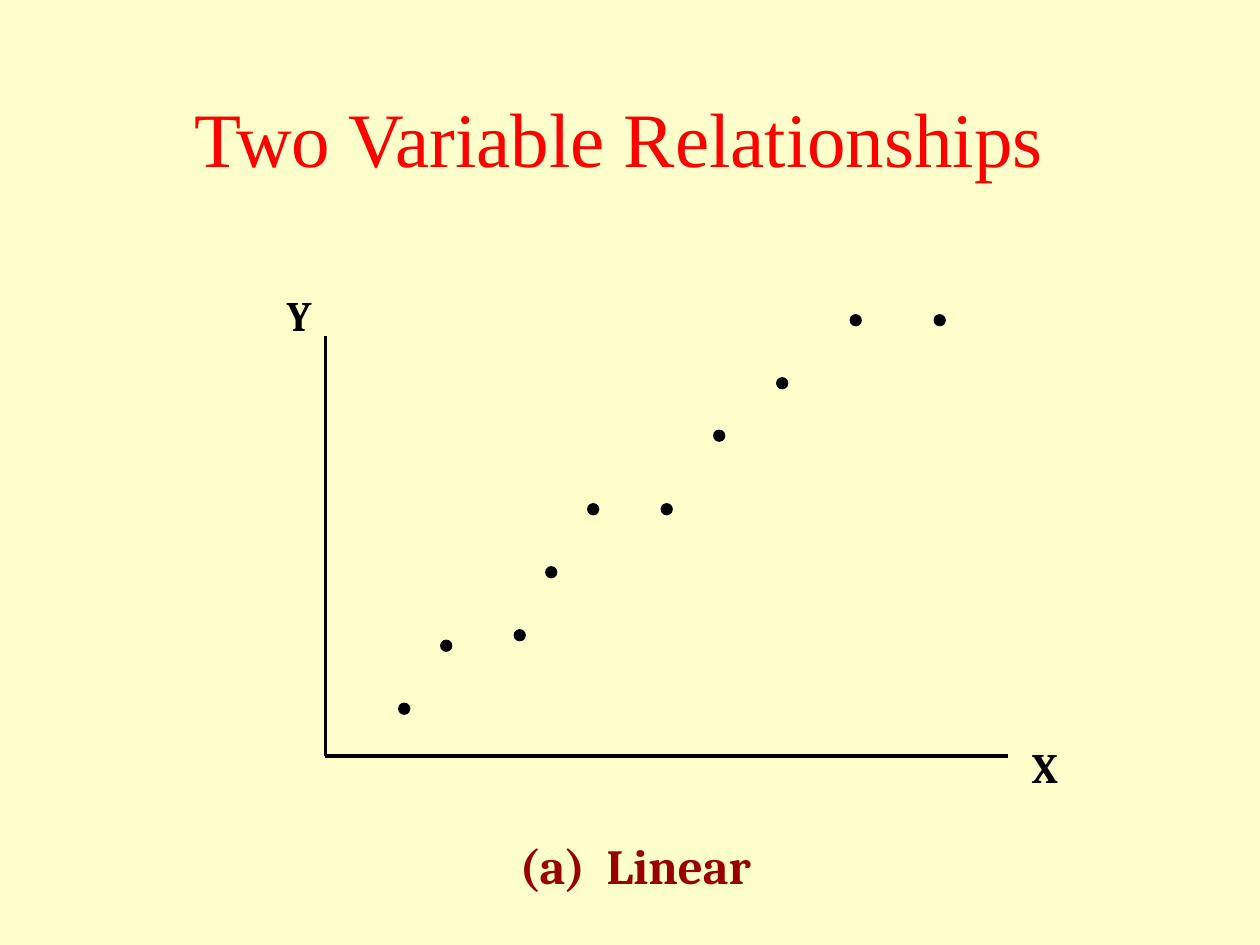
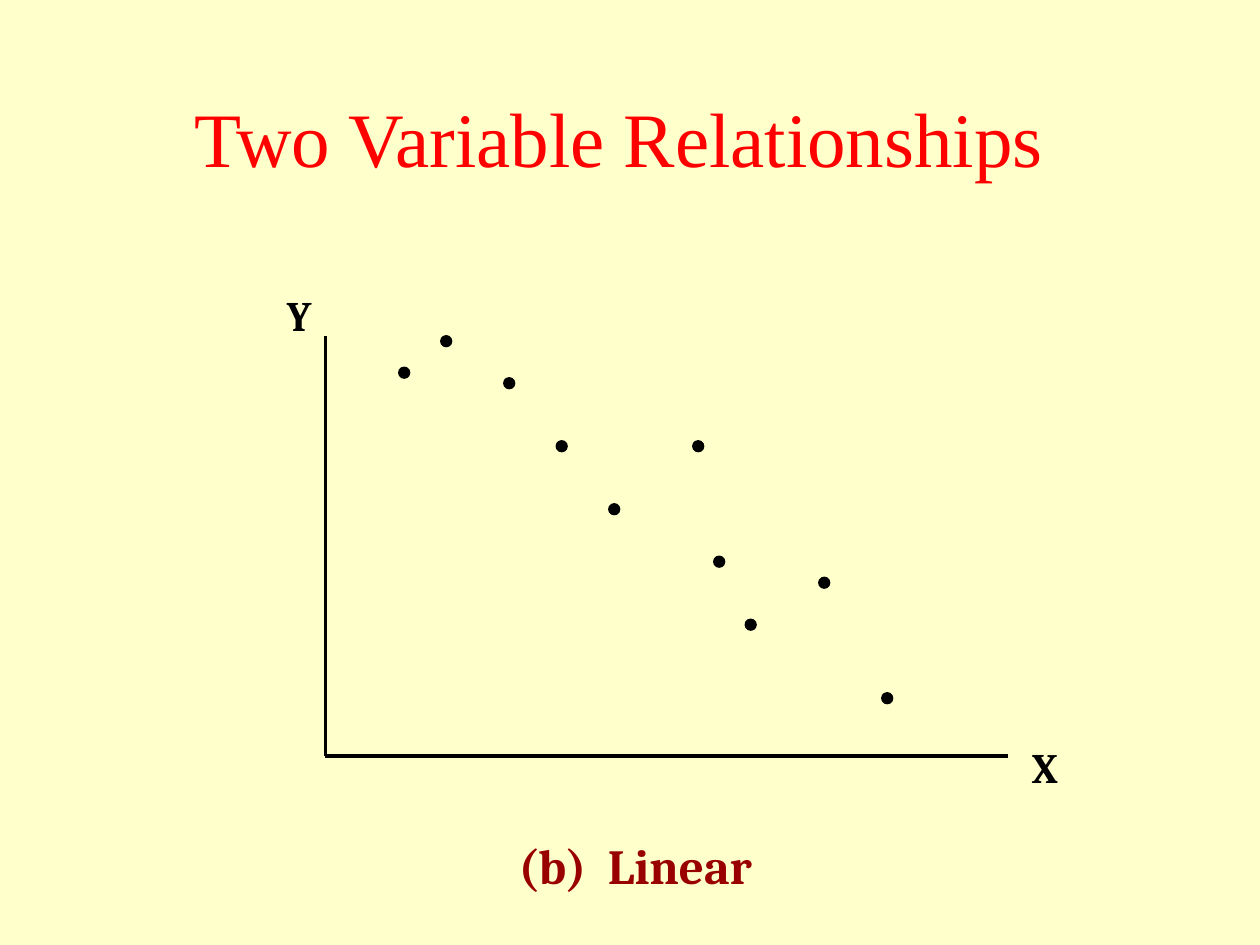
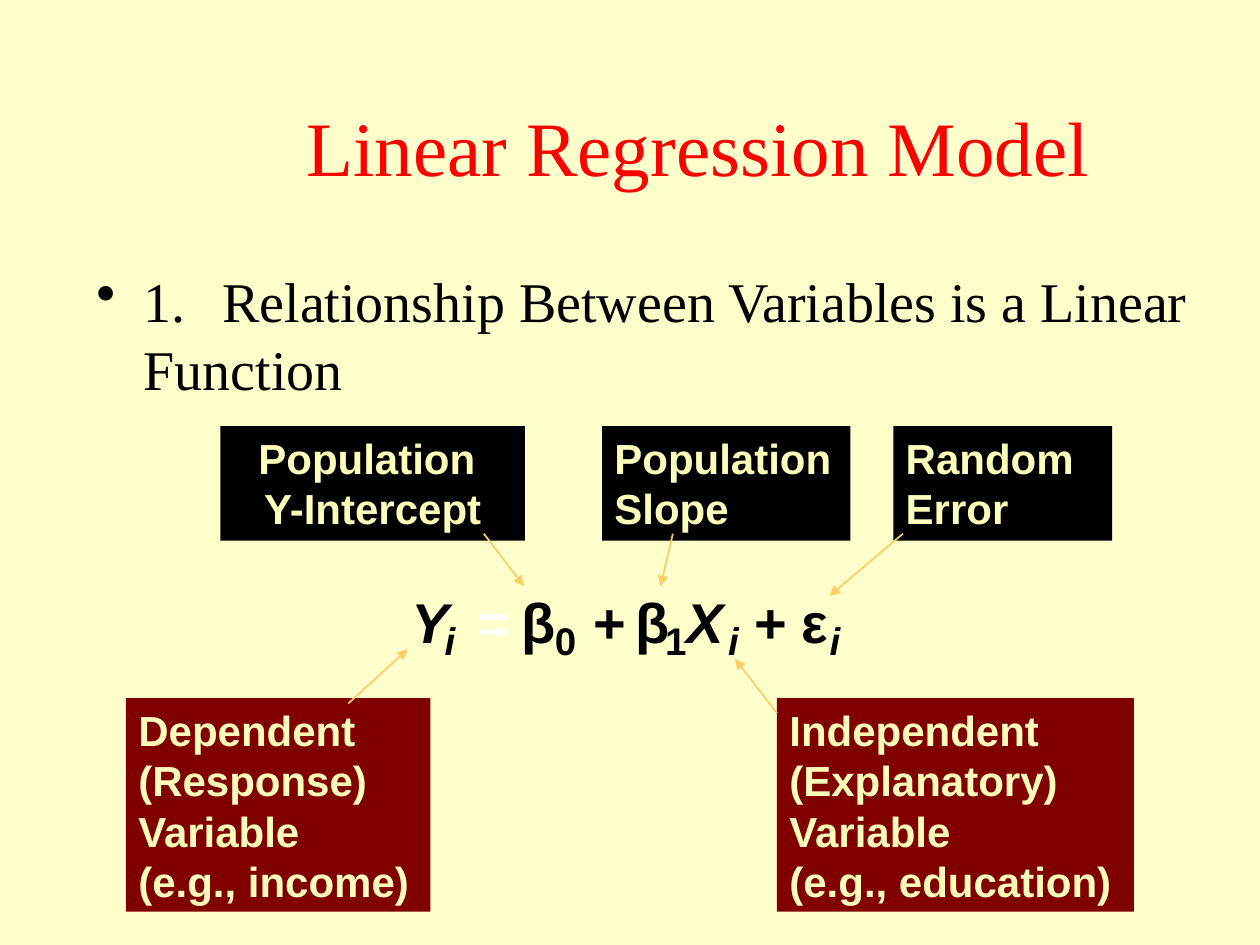
from dataclasses import dataclass

from lxml import etree
from pptx import Presentation
from pptx.dml.color import RGBColor
from pptx.enum import shapes, text
from pptx.oxml import ns
from pptx.util import Pt


@dataclass(frozen=True)
class Theme:
    # Colours
    paper: str = "FFFFCC"
    title: str = "FF0000"
    ink: str = "000000"
    note: str = "990000"
    term: str = "800000"
    pale: str = "FCFEB9"
    arrow: str = "FFCC66"
    white: str = "FFFFFF"
    # Fonts
    serif: str = "Times New Roman"
    plot: str = "Cambria"
    sans: str = "Arial"
    # Type sizes
    head: int = 44
    body: int = 32
    cap: int = 28
    label: int = 24
    sub: int = 22


T = Theme()
UNIT = 6  # plot grid step, also the dot size
CENTER = text.PP_ALIGN.CENTER

# Dot places on the plot grid (column, row)
RISING = [(42, 61), (52, 54), (49, 60), (38, 67), (56, 48),
          (63, 48), (68, 41), (74, 36), (81, 30), (89, 30)]
FALLING = [(78, 55), (68, 53), (71, 59), (84, 66), (58, 48),
           (66, 42), (53, 42), (48, 36), (42, 32), (38, 35)]

# Formula: sign, left, width, colour, italic
SIGNS = [("Y", 228, 35, T.ink, True), ("=", 266, 32, T.white, False),
         ("β", 291, 32, T.ink, False), ("+", 332, 32, T.ink, False),
         ("β", 356, 32, T.ink, False), ("X", 385, 35, T.ink, True),
         ("+", 424, 32, T.ink, False), ("ε", 451, 28, T.ink, False)]
# Subscripts: sign, left, width, italic
SUBS = [("i", 247, 20, True), ("0", 310, 27, False), ("1", 373, 27, False),
        ("i", 409, 20, True), ("i", 467, 20, True)]

# Callouts: words, box, fill, alignment
NOTES = [
    ("Dependent (Response) Variable\v(e.g., income)",
     (72, 399, 174, 122), T.term, None),
    ("Independent (Explanatory) Variable \v(e.g., education)",
     (444, 399, 204, 122), T.term, None),
    ("Population Slope", (344, 243.5, 142, 65.5), T.ink, None),
    ("Population \vY-Intercept", (126, 243.5, 174, 65.5), T.ink, CENTER),
    ("Random Error", (510.5, 243.5, 125, 65.5), T.ink, None),
]
# Arrows from callouts to the formula
ARROWS = [(199, 402, 233, 371), (444, 407.5, 420, 376.5),
          (276.5, 305, 299.5, 335), (384.5, 305, 377.5, 335),
          (516, 305, 474, 340.5)]


def color(code):
    return RGBColor.from_string(code)


def style(frame, font, size, tint, bold=False, italic=False, align=None):
    for para in frame.paragraphs:
        para.alignment = align
        for run in para.runs:
            run.font.name = font
            run.font.size = Pt(size)
            run.font.bold = bold
            run.font.italic = italic
            run.font.color.rgb = color(tint)


def write(slide, words, box, *look, wrap=True, **more):
    frame = slide.shapes.add_textbox(*map(Pt, box)).text_frame
    frame.word_wrap = wrap
    frame.text = words
    style(frame, *look, **more)
    return frame


def title(slide, words, box):
    frame = write(slide, words, box, T.serif, T.head, T.title, align=CENTER)
    frame.vertical_anchor = text.MSO_ANCHOR.BOTTOM


def line(slide, ends, tint, width, arrow=False):
    link = slide.shapes.add_connector(
        shapes.MSO_CONNECTOR.STRAIGHT, *map(Pt, ends))
    link.line.color.rgb = color(tint)
    link.line.width = Pt(width)
    if arrow:
        etree.SubElement(link.line._get_or_add_ln(), ns.qn("a:tailEnd"),
                         type="triangle")
    etree.SubElement(link._element.spPr, ns.qn("a:effectLst"))


def solid(slide, kind, box, fill):
    shape = slide.shapes.add_shape(kind, *map(Pt, box))
    shape.shadow.inherit = False
    shape.fill.solid()
    shape.fill.fore_color.rgb = color(fill)
    return shape


def dot(slide, col, row):
    shape = solid(slide, shapes.MSO_SHAPE.OVAL,
                  (col * UNIT, row * UNIT, UNIT, UNIT), T.ink)
    shape.line.color.rgb = color(T.ink)
    shape.line.width = Pt(1)


def note(slide, words, box, fill, align):
    shape = solid(slide, shapes.MSO_SHAPE.RECTANGLE, box, fill)
    shape.line.fill.background()
    frame = shape.text_frame
    frame.word_wrap = True
    frame.vertical_anchor = text.MSO_ANCHOR.TOP
    frame.text = words
    style(frame, T.sans, T.label, T.pale, bold=True,
          align=align or text.PP_ALIGN.LEFT)


def bullet(para, indent):
    props = para._p.get_or_add_pPr()
    props.set("marL", str(Pt(indent)))
    props.set("indent", str(-Pt(indent)))
    etree.SubElement(props, ns.qn("a:buChar"), char="•")


def scatter(slide, caption, dots):
    title(slide, "Two Variable Relationships", (48, 18, 612, 90))
    # Axes and their names
    line(slide, (186, 192, 186, 432), T.ink, 2.25)
    line(slide, (186, 432, 576, 432), T.ink, 2.25)
    for name, left, top in (("X", 576, 420), ("Y", 150, 162)):
        write(slide, name, (left, top, 42, 36), T.plot, T.label, T.ink,
              bold=True, align=CENTER)
    # Data and caption
    for col, row in dots:
        dot(slide, col, row)
    write(slide, caption, (204, 474, 318, 41), T.plot, T.cap, T.note,
          bold=True, align=CENTER)


def model(slide):
    # Formula
    for sign, left, width, tint, slant in SIGNS:
        write(slide, sign, (left, 332, width, 45.5), T.sans, T.body, tint,
              bold=True, italic=slant, wrap=False)
    for sign, left, width, slant in SUBS:
        write(slide, sign, (left, 349, width, 33), T.sans, T.sub, T.ink,
              bold=True, italic=slant, wrap=False)
    # Heading and statement
    title(slide, "Linear Regression Model", (132, 12, 534, 101))
    frame = write(slide,
                  "1.\tRelationship Between Variables is a Linear Function",
                  (48, 149, 642, 324), T.serif, T.body, T.ink)
    bullet(frame.paragraphs[0], 27)
    # Callouts
    for item in NOTES:
        note(slide, *item)
    for ends in ARROWS:
        line(slide, ends, T.arrow, 1, arrow=True)


def main():
    prs = Presentation()
    prs.slide_width, prs.slide_height = Pt(720), Pt(540)
    paper = prs.slide_master.background.fill
    paper.solid()
    paper.fore_color.rgb = color(T.paper)
    blank = prs.slide_layouts[6]

    scatter(prs.slides.add_slide(blank), "(a)  Linear", RISING)
    scatter(prs.slides.add_slide(blank), "(b)  Linear", FALLING)
    model(prs.slides.add_slide(blank))
    prs.save("out.pptx")


if __name__ == "__main__":
    main()
